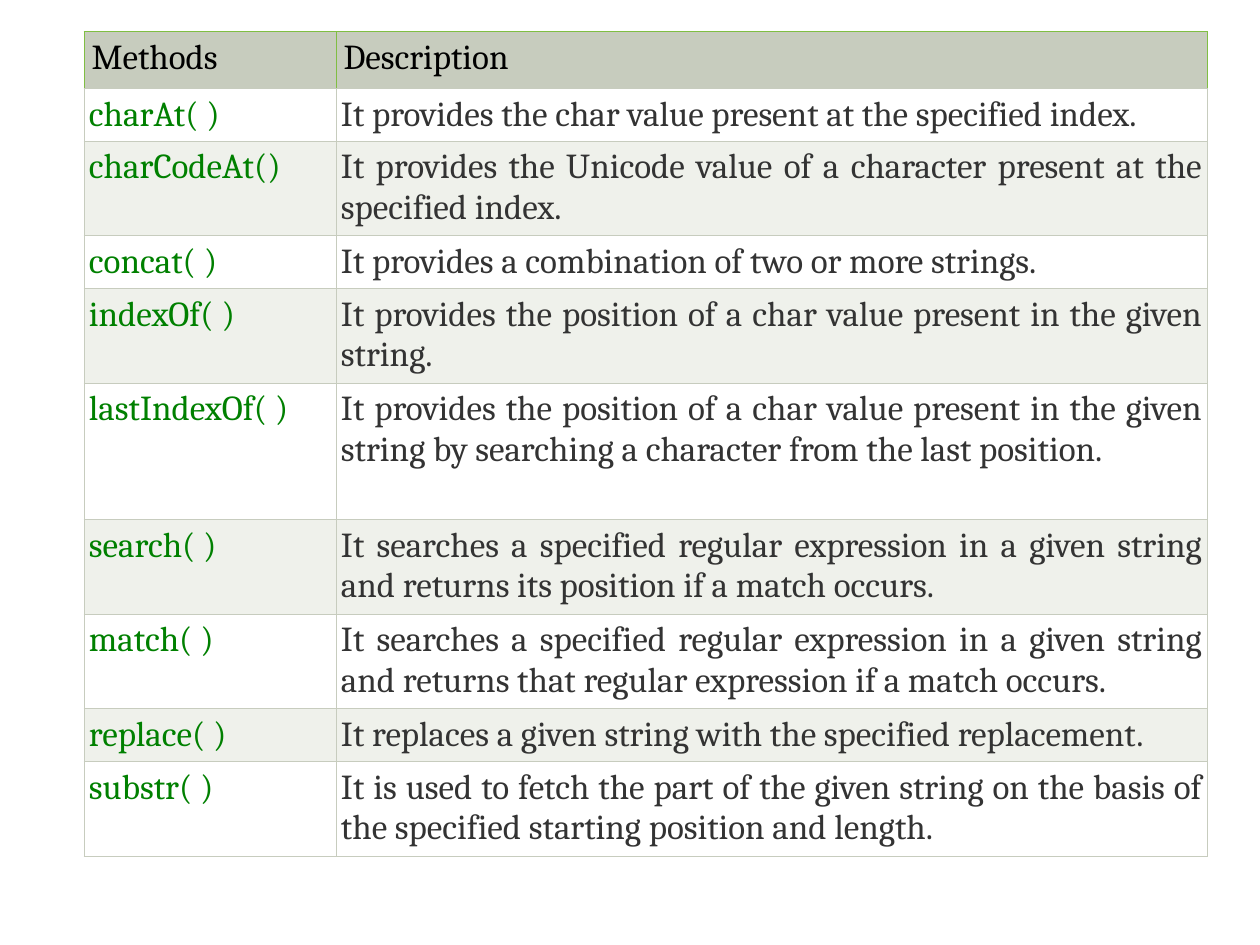
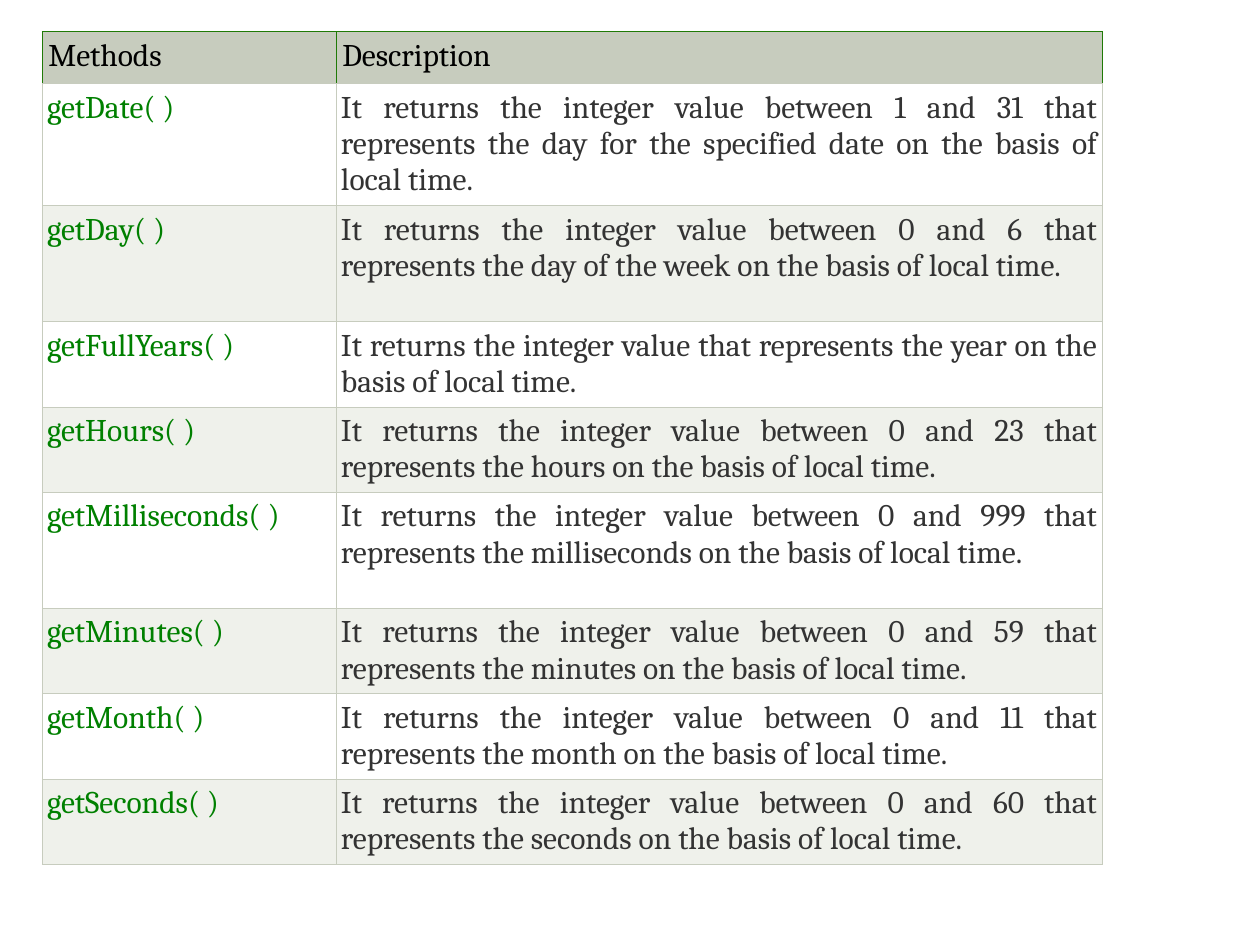
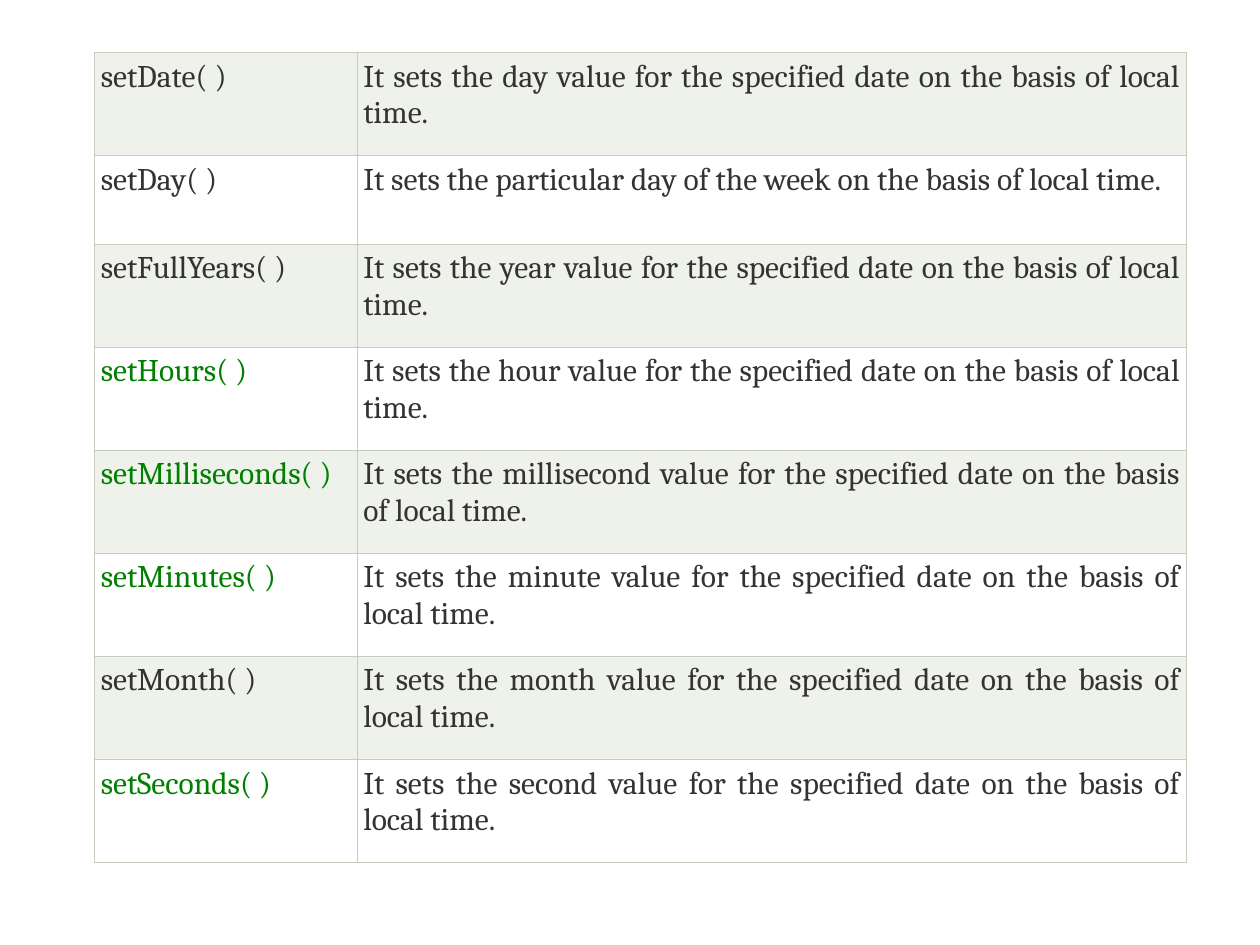
import dataclasses
import typing

import lxml.etree
import pptx
import pptx.dml.color
import pptx.enum.text
import pptx.oxml.ns
import pptx.util


# Theme: all colours, type sizes and line widths
@dataclasses.dataclass(frozen=True)
class Theme:
    font: str = "Cambria"
    large: int = 20
    small: int = 18
    black: str = "000000"
    gray: str = "333333"
    green: str = "008000"
    white: str = "FFFFFF"
    tint: str = "EFF1EB"
    rule: str = "C7CCBE"
    lime: str = "80BE43"
    moss: str = "207A07"
    line: float = 0.34


THEME = Theme()

# Grid: the slide is 120 columns by 90 rows of square steps
WIDTH, HEIGHT = pptx.util.Inches(10), pptx.util.Inches(7.5)
STEP = WIDTH / 120


class Entry(typing.NamedTuple):
    name: str
    text: str
    tall: float  # row height in steps
    tone: str = THEME.green


@dataclasses.dataclass(frozen=True)
class Sheet:
    left: int
    top: int
    cols: tuple[int, int]
    size: int
    pad: float  # side margin of body cells, in inches
    items: list[Entry]
    head: float = 0  # header height in steps, 0 for none
    edge: str = THEME.rule
    inset: float = 0.05  # side margin of header cells, in inches


# Content: row heights in steps
ONE, TWO = 4.95, 9
STRINGS = [
    Entry("charAt( )", "It provides the char value present at the specified index.", ONE),
    Entry("charCodeAt()", "It provides the Unicode value of a character present at the "
          "specified index.", TWO),
    Entry("concat( )", "It provides a combination of two or more strings.", ONE),
    Entry("indexOf( )", "It provides the position of a char value present in the given "
          "string.", TWO),
    Entry("lastIndexOf( )", "It provides the position of a char value present in the given "
          "string by searching a character from the last position.", 13),
    Entry("search( )", "It searches a specified regular expression in a given string and "
          "returns its position if a match occurs.", TWO),
    Entry("match( )", "It searches a specified regular expression in a given string and "
          "returns that regular expression if a match occurs.", TWO),
    Entry("replace( )", "It replaces a given string with the specified replacement.", ONE),
    Entry("substr( )", "It is used to fetch the part of the given string on the basis of "
          "the specified starting position and length.", TWO),
]


def getter(name: str, tall: float, what: str, top: int | None = None) -> Entry:
    """Describe a get method, with its upper bound if it has one."""
    span = "" if top is None else f" between {int(what.startswith('day for'))} and {top}"
    return Entry(f"get{name}( )", f"It returns the integer value{span} that represents "
                 f"the {what} on the basis of local time.", tall)


def setter(name: str, what: str, tone: str = THEME.green) -> Entry:
    """Describe a set method that changes one part of a date."""
    return Entry(f"set{name}( )", f"It sets the {what} value for the specified date on "
                 "the basis of local time.", 9.82, tone)


GETTERS = [
    getter("Date", 11.64, "day for the specified date", 31),
    getter("Day", 11.04, "day of the week", 6),
    getter("FullYears", 8.1, "year"),
    getter("Hours", 8.1, "hours", 23),
    getter("Milliseconds", 11.04, "milliseconds", 999),
    getter("Minutes", 8.1, "minutes", 59),
    getter("Month", 8.1, "month", 11),
    getter("Seconds", 8.1, "seconds", 60),
]
SETTERS = [
    setter("Date", "day", THEME.gray),
    Entry("setDay( )", "It sets the particular day of the week on the basis of local time.",
          8.42, THEME.gray),
    setter("FullYears", "year", THEME.gray),
    setter("Hours", "hour"),
    setter("Milliseconds", "millisecond"),
    setter("Minutes", "minute"),
    setter("Month", "month", THEME.gray),
    setter("Seconds", "second"),
]

SHEETS = [
    Sheet(8, 3, (24, 83), THEME.large, 0.04, STRINGS, 5.4, THEME.lime, 0.06),
    Sheet(4, 3, (28, 73), THEME.small, 0.04, GETTERS, 4.95, THEME.moss),
    Sheet(9, 5, (25, 79), THEME.small, 0.05, SETTERS),
]


def steps(count: float) -> pptx.util.Emu:
    return pptx.util.Emu(round(count * STEP))


def tint(code: str) -> pptx.dml.color.RGBColor:
    return pptx.dml.color.RGBColor.from_string(code)


def border(cell: typing.Any, edge: str) -> None:
    """Rule all four sides; the bottom always has the plain rule colour."""
    props = cell._tc.get_or_add_tcPr()
    name = pptx.oxml.ns.qn
    for side in "LRTB":
        line = lxml.etree.SubElement(props, name(f"a:ln{side}"),
                                     w=str(pptx.util.Pt(THEME.line)))
        fill = lxml.etree.SubElement(line, name("a:solidFill"))
        lxml.etree.SubElement(fill, name("a:srgbClr"),
                              val=THEME.rule if side == "B" else edge)


def write(cell: typing.Any, text: str, tone: str, fill: str, size: int, pad: float,
          edge: str, align: pptx.enum.text.PP_ALIGN) -> None:
    """Fill one cell with its text and look."""
    border(cell, edge)
    cell.fill.solid()
    cell.fill.fore_color.rgb = tint(fill)
    cell.margin_left = cell.margin_right = pptx.util.Inches(pad)
    cell.margin_top = cell.margin_bottom = pptx.util.Inches(0.05)
    cell.text = text
    para = cell.text_frame.paragraphs[0]
    para.alignment = align
    para.font.name = THEME.font
    para.font.size = pptx.util.Pt(size)
    para.font.color.rgb = tint(tone)


def draw(slide: typing.Any, sheet: Sheet) -> None:
    """Draw one table of methods, with a header if the sheet has one."""
    rows = list(sheet.items)
    if sheet.head:
        rows.insert(0, Entry("Methods", "Description", sheet.head, THEME.black))
    tall = sum(row.tall for row in rows)
    table = slide.shapes.add_table(
        len(rows), 2, steps(sheet.left), steps(sheet.top),
        steps(sum(sheet.cols)), steps(tall)).table
    table.first_row = table.horz_banding = False
    for col, wide in zip(table.columns, sheet.cols):
        col.width = steps(wide)

    kinds = pptx.enum.text.PP_ALIGN
    for num, row in enumerate(rows):
        table.rows[num].height = steps(row.tall)
        if sheet.head and num == 0:
            tones = (THEME.black, THEME.black)
            look = (THEME.rule, sheet.size, sheet.inset, sheet.edge, kinds.LEFT)
        else:
            tones = (row.tone, THEME.gray)
            band = THEME.white if num % 2 else THEME.tint
            look = (band, sheet.size, sheet.pad, THEME.rule, kinds.JUSTIFY)
        for col, text in enumerate((row.name, row.text)):
            write(table.cell(num, col), text, tones[col], *look)


def main() -> None:
    deck = pptx.Presentation()
    deck.slide_width, deck.slide_height = WIDTH, HEIGHT
    for sheet in SHEETS:
        draw(deck.slides.add_slide(deck.slide_layouts[6]), sheet)
    deck.save("out.pptx")


if __name__ == "__main__":
    main()
